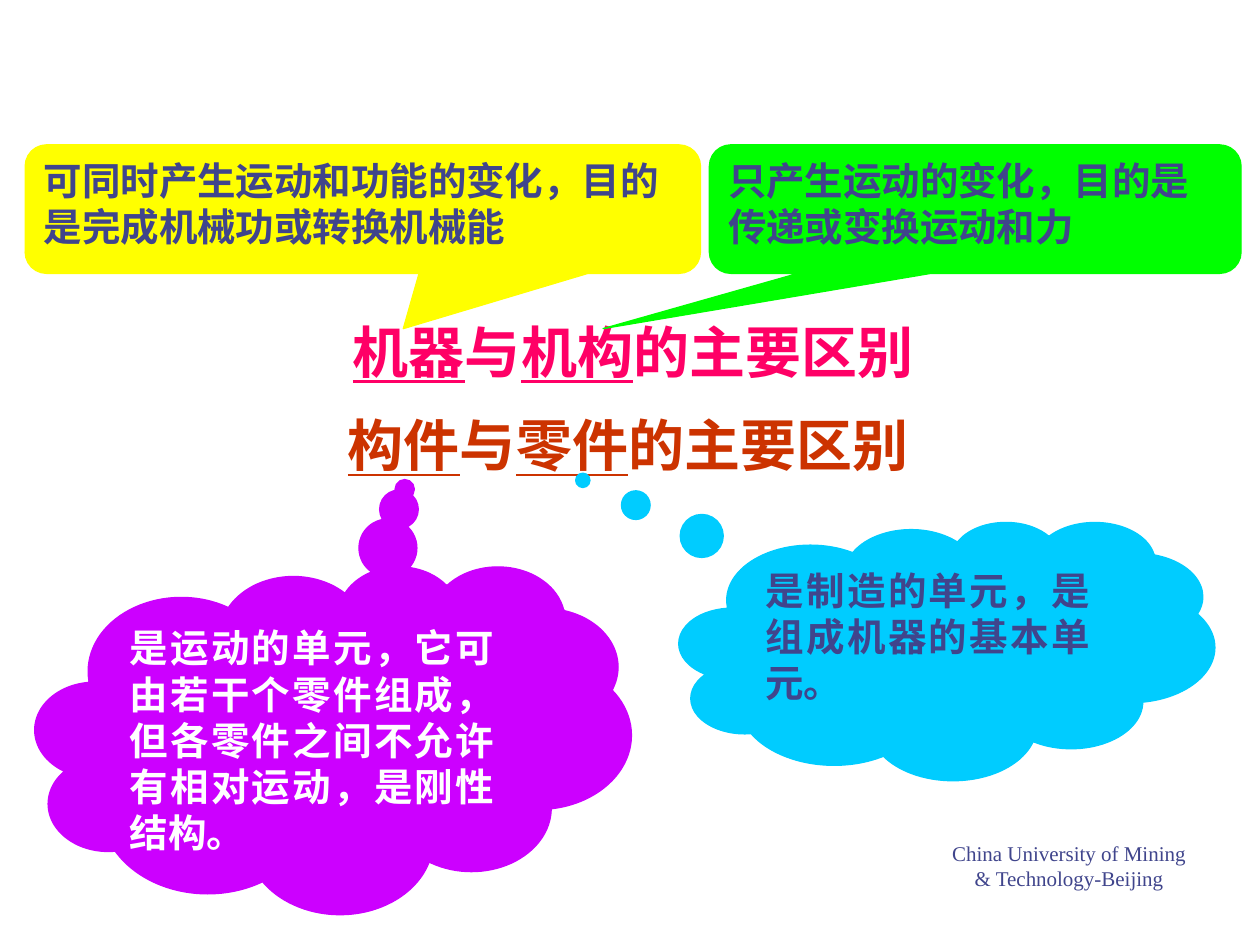
from lxml import etree
from pptx import Presentation
from pptx import util as u
from pptx.dml.color import RGBColor
from pptx.enum import shapes, text
from pptx.oxml.ns import qn

W, H = u.Inches(10), u.Inches(7.5)
CJK, BODY, SERIF = "Noto Sans CJK SC", "Cabin", "Times New Roman"
COLORS = {
    "pink": "FF0066", "rust": "CC3300", "ink": "40458C", "white": "FFFFFF",
    "yellow": "FFFF00", "green": "00FF00", "cyan": "00CCFF", "purple": "CC00FF",
}
ROUND = shapes.MSO_SHAPE.ROUNDED_RECTANGULAR_CALLOUT
CLOUD = shapes.MSO_SHAPE.CLOUD_CALLOUT
ALIGN = text.PP_ALIGN


def color(name):
    return RGBColor.from_string(COLORS[name])


def box(x, y, w, h):
    """Turn percentages of the slide's width and height into lengths."""
    return [int(side * share / 100) for side, share in ((W, x), (H, y), (W, w), (H, h))]


def write(sp, runs, size, font, ink, align, bold=True):
    """Fill a shape with one paragraph of (wording, underlined) runs."""
    tf = sp.text_frame
    tf.word_wrap = True
    tf.vertical_anchor = text.MSO_ANCHOR.TOP
    p = tf.paragraphs[0]
    p.alignment = align
    f = p.font
    f.size, f.name, f.bold = u.Pt(size), font, bold
    f.color.rgb = color(ink)
    # East Asian glyphs take the same font
    etree.SubElement(p._p.pPr.find(qn("a:defRPr")), qn("a:ea"), typeface=font)
    for wording, underlined in runs:
        r = p.add_run()
        r.text = wording
        if underlined:
            r.font.underline = True


def add_heading(s, x, y, first, second, ink):
    sp = s.shapes.add_textbox(*box(x, y, 96.9, 8.53))
    runs = [(first, True), ("与", False), (second, True), ("的主要区别", False)]
    write(sp, runs, 32, CJK, ink, ALIGN.CENTER)


def add_callout(s, kind, place, tip, fill, wording, ink="ink", align=ALIGN.LEFT):
    sp = s.shapes.add_shape(kind, *box(*place))
    sp.shadow.inherit = False
    for i, offset in enumerate(tip):
        sp.adjustments[i] = offset
    sp.fill.solid()
    sp.fill.fore_color.rgb = color(fill)
    sp.line.color.rgb = color(fill)
    sp.line.width = u.Pt(0.75)
    write(sp, [(wording, False)], 22, BODY, ink, align)


def add_footer(s):
    sp = s.shapes.add_textbox(*box(74.5, 88.27, 20.7, 4.4))
    write(sp, [("China University of Mining & Technology-Beijing", False)],
          12, SERIF, "ink", ALIGN.CENTER, bold=False)


def main():
    prs = Presentation()
    prs.slide_width, prs.slide_height = W, H
    s = prs.slides.add_slide(prs.slide_layouts[6])

    # Machine versus mechanism
    add_heading(s, 1.8, 32.93, "机器", "机构", "pink")
    add_callout(s, ROUND, (2, 15.33, 53.6, 13.6), (0.06, 0.93), "yellow",
                "可同时产生运动和功能的变化，目的是完成机械功或转换机械能")
    add_callout(s, ROUND, (56.3, 15.33, 42.2, 13.6), (-0.7, 0.93), "green",
                "只产生运动的变化，目的是传递或变换运动和力")

    # Component versus part
    add_heading(s, 1.4, 42.8, "构件", "零件", "rust")
    add_callout(s, CLOUD, (53.9, 55.2, 42.5, 27.33), (-0.68, -0.66), "cyan",
                "是制造的单元，是组成机器的基本单元。", align=ALIGN.JUSTIFY)
    add_callout(s, CLOUD, (2.8, 59.87, 47.3, 36.8), (0.12, -0.72), "purple",
                "是运动的单元，它可由若干个零件组成，但各零件之间不允许有相对运动，是刚性结构。",
                ink="white", align=ALIGN.JUSTIFY)

    add_footer(s)
    prs.save("out.pptx")


if __name__ == "__main__":
    main()
